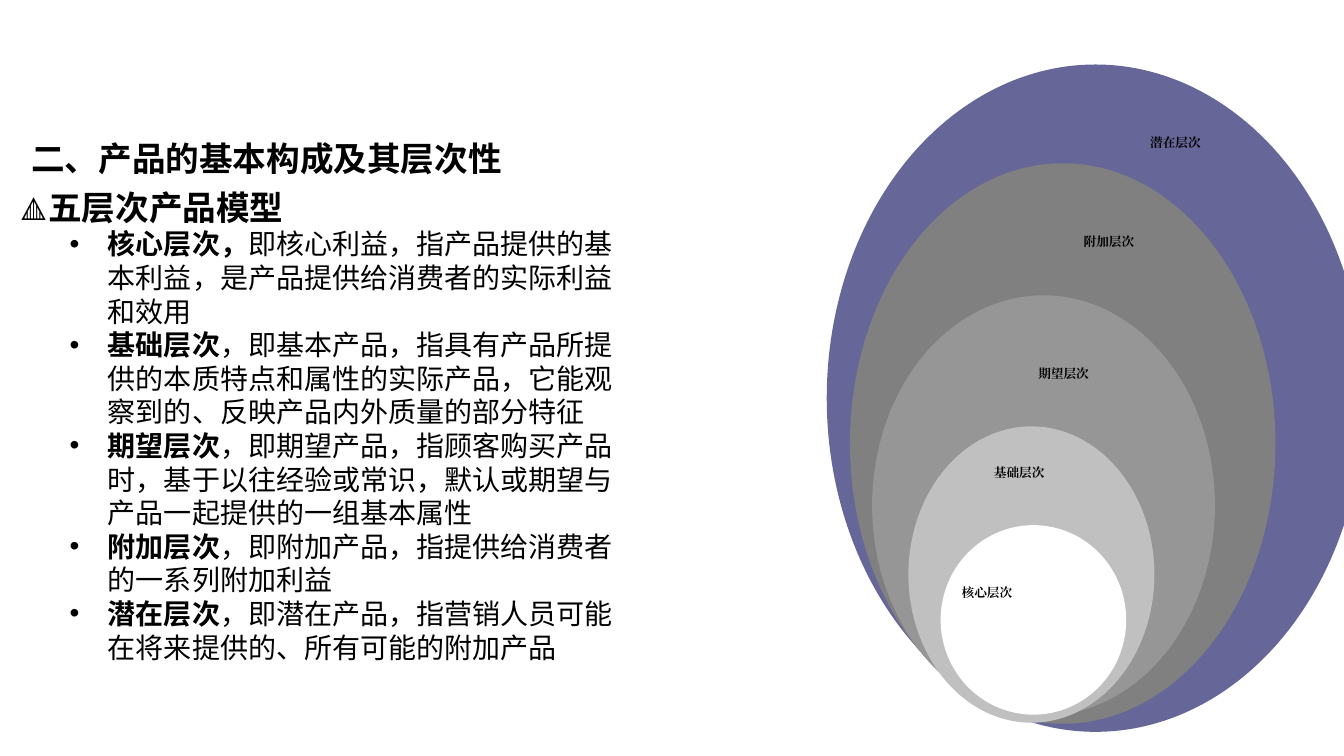
import dataclasses
import typing

import lxml.etree
import pptx
import pptx.dml.color
import pptx.enum.shapes
import pptx.enum.text
import pptx.oxml.ns
import pptx.util

Inches = pptx.util.Inches
Pt = pptx.util.Pt
RGBColor = pptx.dml.color.RGBColor
qn = pptx.oxml.ns.qn

BLACK = RGBColor(0x00, 0x00, 0x00)
WHITE = RGBColor(0xFF, 0xFF, 0xFF)
VIOLET = RGBColor(0x66, 0x66, 0x99)
DARK_GREY = RGBColor(0x80, 0x80, 0x80)
MID_GREY = RGBColor(0x96, 0x96, 0x96)
LIGHT_GREY = RGBColor(0xC0, 0xC0, 0xC0)
SANS = "Noto Sans CJK SC"
SERIF = "Times New Roman"
LINE_FACTOR = 1.2


@dataclasses.dataclass
class Layer:
    """One product layer: its ellipse and the position of its label."""
    name: str
    color: RGBColor
    left: float
    top: float
    width: float
    height: float
    label_left: float
    label_top: float


@dataclasses.dataclass
class Point:
    """One bullet: a bold term and its explanation."""
    term: str
    text: str


LAYERS = [
    Layer("潜在层次", VIOLET, 8.2, 0.64, 5.33, 6.62, 11.31, 1.29),
    Layer("附加层次", DARK_GREY, 8.43, 1.62, 4.22, 5.56, 10.65, 2.27),
    Layer("期望层次", MID_GREY, 8.65, 2.93, 3.4, 4.17, 10.2, 3.58),
    Layer("基础层次", LIGHT_GREY, 9.01, 4.23, 2.44, 2.94, 9.76, 4.56),
    Layer("核心层次", WHITE, 9.33, 5.21, 1.84, 1.88, 9.44, 5.75),
]

POINTS = [
    Point("核心层次，", "即核心利益，指产品提供的基本利益，是产品提供给消费者的实际利益和效用"),
    Point("基础层次", "，即基本产品，指具有产品所提供的本质特点和属性的实际产品，"
          "它能观察到的、反映产品内外质量的部分特征"),
    Point("期望层次", "，即期望产品，指顾客购买产品时，基于以往经验或常识，"
          "默认或期望与产品一起提供的一组基本属性"),
    Point("附加层次", "，即附加产品，指提供给消费者的一系列附加利益"),
    Point("潜在层次", "，即潜在产品，指营销人员可能在将来提供的、所有可能的附加产品"),
]


def format_run(r: typing.Any, size: float, font: str, bold: bool = True) -> None:
    """Set size, weight, colour and the Latin and East Asian fonts of a run."""
    r.font.size = Pt(size)
    r.font.bold = bold
    r.font.color.rgb = BLACK
    r.font.name = font
    lxml.etree.SubElement(r.font._element, qn("a:ea"), typeface=font)


def format_paragraph(p: typing.Any, size: float) -> None:
    """Left-align a paragraph with tight, fixed line spacing."""
    p.alignment = pptx.enum.text.PP_ALIGN.LEFT
    p.line_spacing = Pt(size * LINE_FACTOR)
    p.space_before = p.space_after = Pt(0)


def set_bullet(p: typing.Any, char: str, margin: float, indent: float) -> None:
    """Give a paragraph a bullet, or none if char is empty, and its indents."""
    pPr = p._p.get_or_add_pPr()
    pPr.set("marL", str(Inches(margin)))
    pPr.set("indent", str(Inches(indent)))
    if char:
        lxml.etree.SubElement(pPr, qn("a:buFont"), typeface="Arial")
        lxml.etree.SubElement(pPr, qn("a:buChar"), char=char)
    else:
        lxml.etree.SubElement(pPr, qn("a:buNone"))


def place(sp: typing.Any, left: float, top: float, width: float, height: float) -> typing.Any:
    """Move a placeholder and return its top-anchored text frame."""
    sp.left, sp.top = Inches(left), Inches(top)
    sp.width, sp.height = Inches(width), Inches(height)
    tf = sp.text_frame
    tf.word_wrap = True
    tf.auto_size = pptx.enum.text.MSO_AUTO_SIZE.NONE
    tf.vertical_anchor = pptx.enum.text.MSO_ANCHOR.TOP
    return tf


def add_heading(p: typing.Any, text: str) -> None:
    """Write a bold heading without a bullet."""
    p.text = text
    format_paragraph(p, 24)
    set_bullet(p, "", 0, 0)
    format_run(p.runs[0], 24, SANS)


def add_point(tf: typing.Any, point: Point) -> None:
    """Append one bullet with its bold term."""
    p = tf.add_paragraph()
    p.level = 1
    format_paragraph(p, 20)
    set_bullet(p, "•", 0.88, -0.38)
    for text, bold in ((point.term, True), (point.text, False)):
        r = p.add_run()
        r.text = text
        format_run(r, 20, SANS, bold)


def add_ellipse(s: typing.Any, layer: Layer) -> None:
    """Draw the filled ellipse of a layer."""
    sp = s.shapes.add_shape(
        pptx.enum.shapes.MSO_SHAPE.OVAL, Inches(layer.left), Inches(layer.top),
        Inches(layer.width), Inches(layer.height))
    sp.shadow.inherit = False
    sp.fill.solid()
    sp.fill.fore_color.rgb = layer.color
    sp.line.fill.background()


def add_label(s: typing.Any, layer: Layer) -> None:
    """Write the name of a layer."""
    sp = s.shapes.add_textbox(
        Inches(layer.label_left), Inches(layer.label_top), Inches(1.46), Inches(0.86))
    tf = sp.text_frame
    tf.word_wrap = True
    tf.text = layer.name
    p = tf.paragraphs[0]
    p.alignment = pptx.enum.text.PP_ALIGN.JUSTIFY
    format_run(p.runs[0], 9, SERIF)


def main() -> None:
    """Build and save the slide."""
    prs = pptx.Presentation()
    prs.slide_width, prs.slide_height = Inches(13.33), Inches(7.5)
    s = prs.slides.add_slide(prs.slide_layouts[1])

    tf = place(s.shapes.title, 0.21, 1.32, 6.68, 0.51)
    add_heading(tf.paragraphs[0], "二、产品的基本构成及其层次性")

    tf = place(s.placeholders[1], 0.09, 1.8, 6.25, 4.98)
    add_heading(tf.paragraphs[0], "🔺五层次产品模型")
    for point in POINTS:
        add_point(tf, point)

    for layer in LAYERS:
        add_ellipse(s, layer)
    for layer in reversed(LAYERS):
        add_label(s, layer)

    prs.save("out.pptx")


main()
